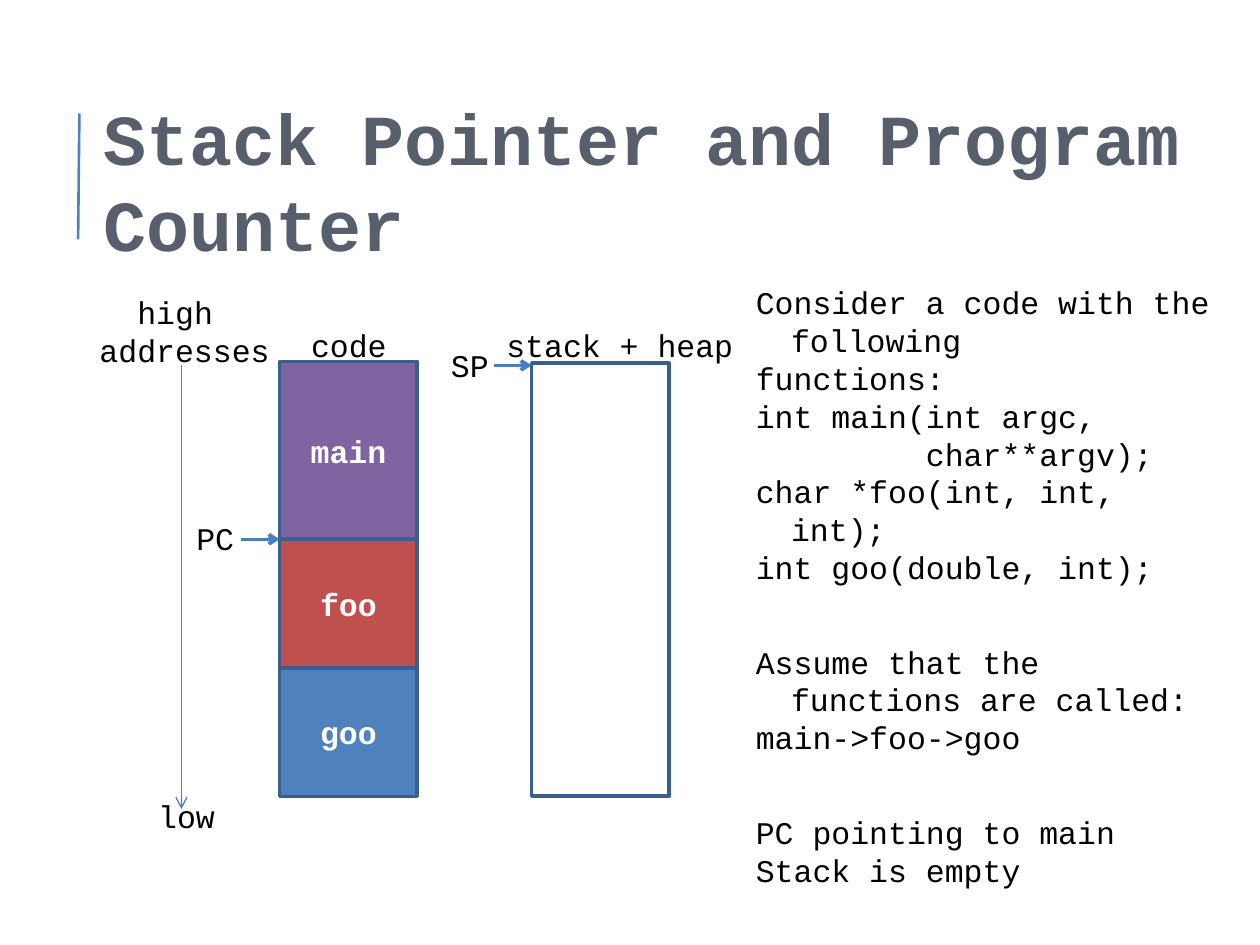
"""Build a slide on the stack pointer and the program counter."""
from lxml import etree
from pptx import Presentation
from pptx import util as u
from pptx.dml.color import RGBColor
from pptx.enum import shapes, text
from pptx.oxml import ns

FONT = "Courier New"
HUES = {"head": "575F6D", "ink": "000000", "pale": "FFFFFF", "rule": "4F81BD",
        "edge": "3A5F8C", "arrow": "4B7EBC",
        "main": "8064A2", "foo": "C0504D", "goo": "4F81BD"}
TITLE = "Stack Pointer and Program Counter"
GROUPS = [
    ["Consider a code with the following", "functions:", "int main(int argc,",
     "         char**argv);", "char *foo(int, int, int);", "int goo(double, int);"],
    ["Assume that the functions are called:", "main->foo->goo"],
    ["PC pointing to main", "Stack is empty"],
]
CODE, HEAP, TOP, WIDE, TALL = 2.22, 4.22, 2.87, 1.09, 3.44
PARTS = [("main", 1.41), ("foo", 1.02), ("goo", 1.02)]
TURN = TOP + PARTS[0][1]
LABELS = [
    ("code", 2.37, 2.54, 0.82, 0.4, False),
    ("stack + heap", 3.92, 2.54, 2.02, 0.4, False),
    ("PC", 1.46, 4.07, 0.52, 0.4, False),
    ("SP", 3.48, 2.7, 0.52, 0.4, False),
    ("high \naddresses", 0.68, 2.28, 1.57, 0.7, True),
    ("low", 1.14, 6.28, 0.68, 0.4, True),
]
ARROWS = [
    (CODE - 0.31, TURN, CODE, TURN, 2),
    (HEAP - 0.3, 2.9, HEAP, 2.9, 2),
    (1.44, 2.9, 1.44, 6.42, 0.75),
]


def tint(name):
    return RGBColor.from_string(HUES[name])


def style(frame, size, hue, bold=False, mid=False):
    for para in frame.paragraphs:
        if mid:
            para.alignment = text.PP_ALIGN.CENTER
        for run in para.runs:
            font = run.font
            font.name, font.size, font.bold = FONT, u.Pt(size), bold
            font.color.rgb = tint(hue)


def write(slide, words, box, wrap=True):
    frame = slide.shapes.add_textbox(*map(u.Inches, box)).text_frame
    frame.word_wrap = wrap
    if not wrap:
        frame.auto_size = text.MSO_AUTO_SIZE.SHAPE_TO_FIT_TEXT
    frame.text = words
    return frame


def block(slide, left, top, high, name=None):
    rect = slide.shapes.add_shape(shapes.MSO_SHAPE.RECTANGLE,
                                  *map(u.Inches, (left, top, WIDE, high)))
    rect.shadow.inherit = False
    rect.line.color.rgb, rect.line.width = tint("edge"), u.Pt(2)
    if name:
        rect.fill.solid()
        rect.fill.fore_color.rgb = tint(name)
        rect.text_frame.text = name
        rect.text_frame.vertical_anchor = text.MSO_ANCHOR.MIDDLE
        style(rect.text_frame, 18, "pale", True, True)
    else:
        rect.fill.background()


def stroke(slide, ends, hue, size, tip=False):
    line = slide.shapes.add_connector(shapes.MSO_CONNECTOR.STRAIGHT,
                                      *map(u.Inches, ends))
    line.line.color.rgb, line.line.width = tint(hue), u.Pt(size)
    if tip:
        etree.SubElement(line.line._get_or_add_ln(), ns.qn("a:tailEnd"), type="arrow")
    etree.SubElement(line._element.spPr, ns.qn("a:effectLst"))


def notes(slide):
    rows = [row for group in GROUPS for row in group]
    frame = write(slide, "\n".join(rows), (5.78, 2.2, 3.92, 5))
    starts = [group[0] for group in GROUPS[1:]]
    for para, row in zip(frame.paragraphs, rows):
        props = para._p.get_or_add_pPr()
        props.set("marL", str(u.Inches(0.4)))
        props.set("indent", str(u.Inches(-0.28)))
        if row in starts:
            para.space_before = u.Pt(32.5)
    style(frame, 18, "ink")


def main():
    deck = Presentation()
    deck.slide_width, deck.slide_height = u.Inches(10), u.Inches(7.5)
    slide = deck.slides.add_slide(deck.slide_layouts[6])

    stroke(slide, (0.62, 1.9, 0.63, 0.9), "rule", 1.5)
    head = write(slide, TITLE, (0.82, 1.18, 9.18, 0.5))
    head.margin_left = head.margin_right = head.margin_top = head.margin_bottom = 0
    head.vertical_anchor = text.MSO_ANCHOR.MIDDLE
    style(head, 41, "head", True)
    notes(slide)

    for left, top in ((CODE, TOP), (HEAP, TOP + 0.01)):
        block(slide, left, top, TALL)
    top = TOP
    for name, high in PARTS:
        block(slide, CODE, top, high, name)
        top += high

    for *ends, size in ARROWS:
        stroke(slide, ends, "arrow", size, True)
    for words, *box, mid in LABELS:
        style(write(slide, words, box, False), 18, "ink", mid=mid)

    deck.save("out.pptx")


if __name__ == "__main__":
    main()
